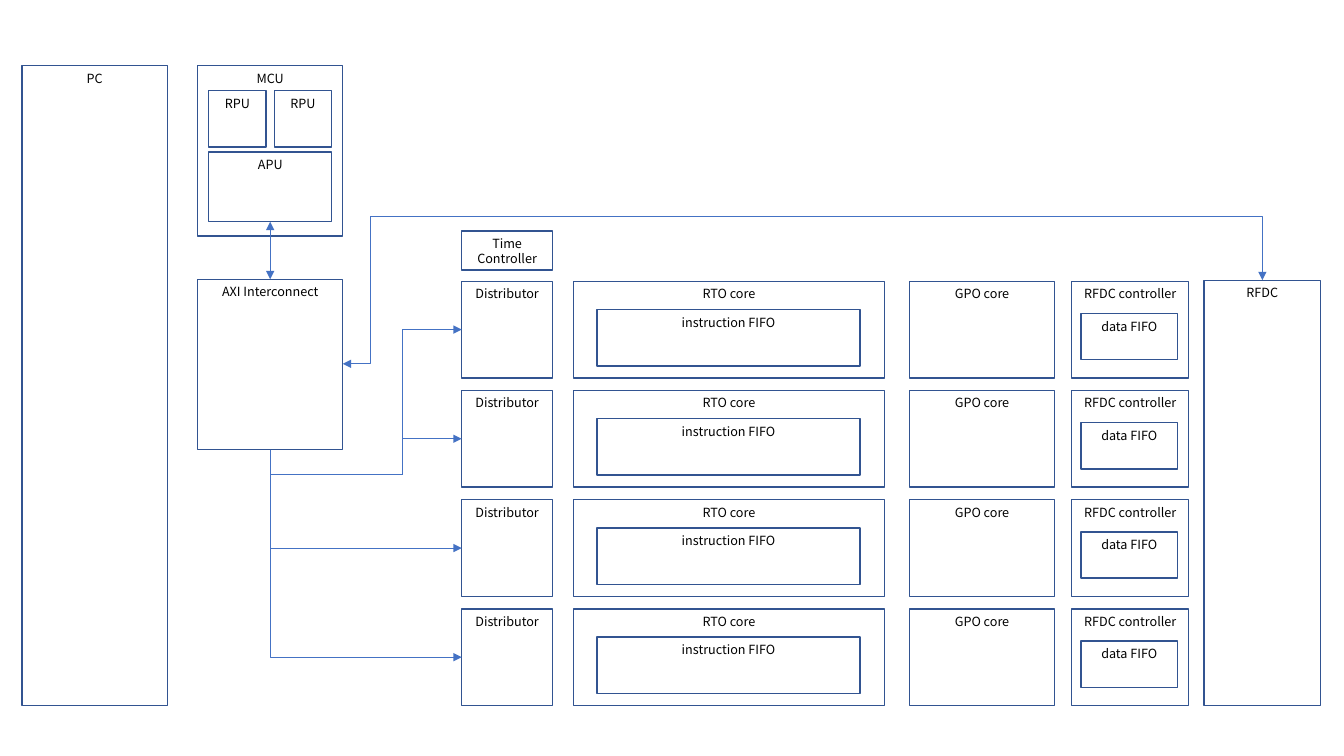
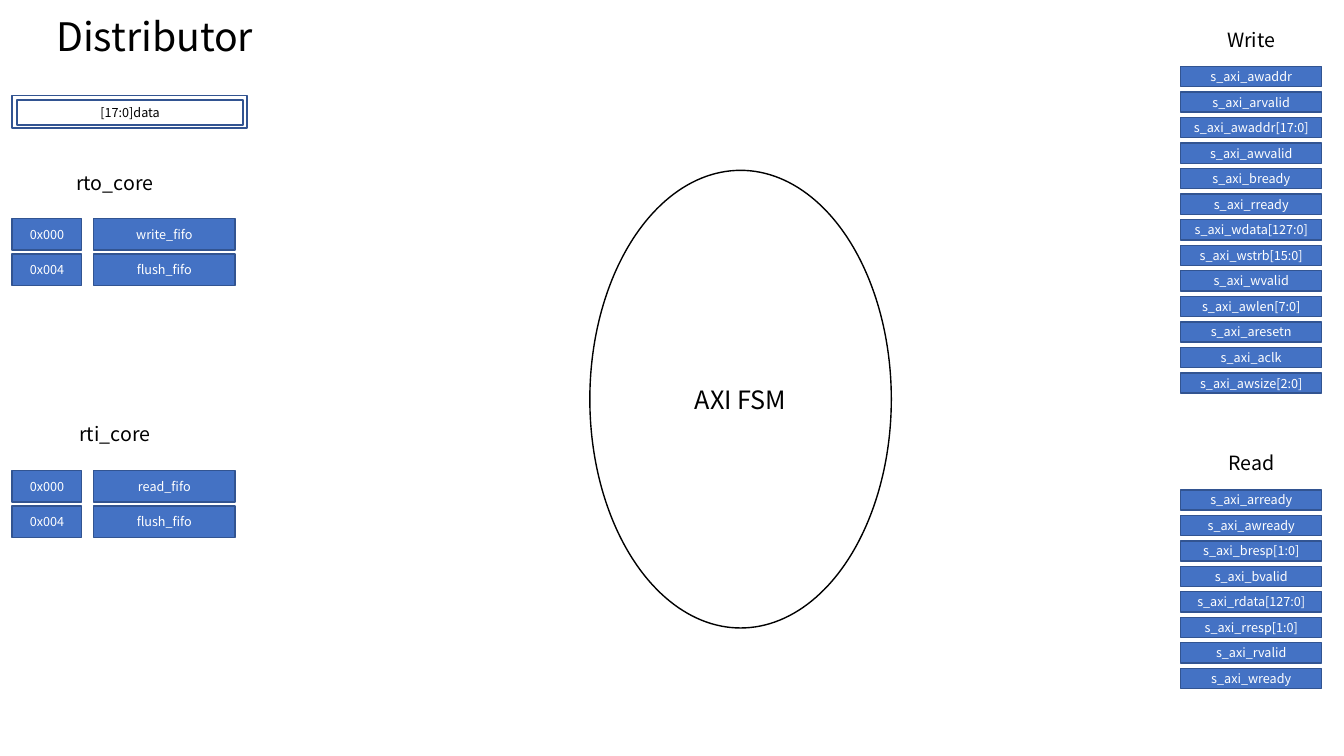
from dataclasses import dataclass
from typing import Optional

from lxml import etree
from pptx import Presentation
from pptx.dml.color import RGBColor
from pptx.enum.shapes import MSO_CONNECTOR, MSO_SHAPE
from pptx.enum.text import MSO_ANCHOR, PP_ALIGN
from pptx.oxml.ns import qn
from pptx.util import Inches, Pt

FONT = "Noto Sans CJK KR"
BLACK = RGBColor(0x00, 0x00, 0x00)
WHITE = RGBColor(0xFF, 0xFF, 0xFF)
BLUE = RGBColor(0x44, 0x72, 0xC4)
NAVY = RGBColor(0x32, 0x54, 0x91)

Point = tuple[float, float]


@dataclass(frozen=True)
class Style:
    fill: Optional[RGBColor] = None
    line: RGBColor = NAVY
    color: RGBColor = BLACK
    size: float = 9
    anchor: MSO_ANCHOR = MSO_ANCHOR.MIDDLE
    shape: MSO_SHAPE = MSO_SHAPE.RECTANGLE


BLOCK = Style(anchor=MSO_ANCHOR.TOP)
FRAME = Style()
CELL = Style(fill=BLUE, color=WHITE)
STATE = Style(line=BLACK, size=18, shape=MSO_SHAPE.OVAL)


@dataclass(frozen=True)
class Box:
    text: str
    left: float
    top: float
    width: float
    height: float


@dataclass(frozen=True)
class Route:
    """An elbow arrow; corner is the middle bend where there are three."""
    start: Point
    end: Point
    corner: Optional[Point] = None
    vertical: bool = True
    both_ends: bool = False


@dataclass(frozen=True)
class SignalList:
    title: str
    title_top: float
    first: float
    last: float
    names: tuple[str, ...]


@dataclass(frozen=True)
class RegisterMap:
    title: str
    title_top: float
    top: float
    names: tuple[str, ...]


ROW_COUNT = 4
ROW_HEIGHT = 0.96
ROW_FIRST, ROW_LAST = 2.79, 6.04
# Tops are relative to the row.
ROW_BOXES = (
    Box("Distributor", 4.58, 0, 0.9, ROW_HEIGHT),
    Box("RTO core", 5.69, 0, 3.08, ROW_HEIGHT),
    Box("instruction FIFO", 5.92, 0.28, 2.61, 0.56),
    Box("GPO core", 9.02, 0, 1.44, ROW_HEIGHT),
    Box("RFDC controller", 10.63, 0, 1.16, ROW_HEIGHT),
    Box("data FIFO", 10.72, 0.32, 0.96, 0.46),
)
SYSTEM_BOXES = (
    Box("PC", 0.22, 0.65, 1.44, 6.35),
    Box("MCU", 1.96, 0.65, 1.44, 1.69),
    Box("RPU", 2.07, 0.9, 0.57, 0.56),
    Box("RPU", 2.72, 0.9, 0.57, 0.56),
    Box("APU", 2.07, 1.51, 1.22, 0.69),
    Box("AXI Interconnect", 1.96, 2.77, 1.44, 1.69),
    Box("Time Controller", 4.58, 2.29, 0.9, 0.39),
    Box("RFDC", 11.94, 2.78, 1.16, 4.22),
)
SIGNAL_LISTS = (
    SignalList("Write", 0.25, 0.66, 3.7, (
        "s_axi_awaddr", "s_axi_arvalid", "s_axi_awaddr[17:0]", "s_axi_awvalid",
        "s_axi_bready", "s_axi_rready", "s_axi_wdata[127:0]", "s_axi_wstrb[15:0]",
        "s_axi_wvalid", "s_axi_awlen[7:0]", "s_axi_aresetn", "s_axi_aclk",
        "s_axi_awsize[2:0]")),
    SignalList("Read", 4.45, 4.86, 6.63, (
        "s_axi_arready", "s_axi_awready", "s_axi_bresp[1:0]", "s_axi_bvalid",
        "s_axi_rdata[127:0]", "s_axi_rresp[1:0]", "s_axi_rvalid", "s_axi_wready")),
)
REGISTER_MAPS = (
    RegisterMap("rto_core", 1.67, 2.17, ("write_fifo", "flush_fifo")),
    RegisterMap("rti_core", 4.16, 4.67, ("read_fifo", "flush_fifo")),
)


def spread(first: float, last: float, count: int) -> list[float]:
    """Evenly spaced positions from first to last."""
    return [first + i * (last - first) / (count - 1) for i in range(count)]


def apply(target, formats: dict) -> None:
    for name, value in formats.items():
        setattr(target, name, value)


def write(shape, text: str, size: float, color: RGBColor,
          frame: dict, paragraph: dict) -> None:
    tf = shape.text_frame
    apply(tf, {"word_wrap": True, **frame})
    p = tf.paragraphs[0]
    apply(p, paragraph)
    if text:
        r = p.add_run()
        r.text = text
        apply(r.font, {"name": FONT, "size": Pt(size)})
        r.font.color.rgb = color


def add_box(s, box: Box, style: Style) -> None:
    sp = s.shapes.add_shape(style.shape, Inches(box.left), Inches(box.top),
                            Inches(box.width), Inches(box.height))
    sp.shadow.inherit = False
    if style.fill is None:
        sp.fill.background()
    else:
        sp.fill.solid()
        sp.fill.fore_color.rgb = style.fill
    sp.line.color.rgb = style.line
    sp.line.width = Pt(1)
    write(sp, box.text, style.size, style.color,
          {"vertical_anchor": style.anchor}, {"alignment": PP_ALIGN.CENTER})


def add_label(s, box: Box, size: float = 14, spacing: float = 0.9,
              align: PP_ALIGN = PP_ALIGN.CENTER) -> None:
    tb = s.shapes.add_textbox(Inches(box.left), Inches(box.top),
                              Inches(box.width), Inches(box.height))
    write(tb, box.text, size, BLACK, {"vertical_anchor": MSO_ANCHOR.TOP},
          {"alignment": align, "line_spacing": spacing, "space_before": Pt(10)})


def add_arrow(s, start: Point, end: Point, kind: MSO_CONNECTOR, both_ends: bool):
    c = s.shapes.add_connector(kind, *(Inches(v) for v in start + end))
    c.line.color.rgb = BLUE
    c.line.width = Pt(0.5)
    props = c._element.spPr
    ln = props.find(qn("a:ln"))
    for tag in ("a:headEnd", "a:tailEnd") if both_ends else ("a:tailEnd",):
        etree.SubElement(ln, qn(tag), type="triangle")
    etree.SubElement(props, qn("a:effectLst"))
    return c


def add_route(s, route: Route) -> None:
    (x0, y0), (x1, y1) = route.start, route.end
    c = add_arrow(s, route.start, route.end, MSO_CONNECTOR.ELBOW, route.both_ends)
    props = c._element.spPr
    geometry = props.find(qn("a:prstGeom"))
    geometry.set("prst", "bentConnector4" if route.corner else "bentConnector2")
    if route.corner:
        across = (route.corner[0] - x0) / (x1 - x0)
        down = (route.corner[1] - y0) / (y1 - y0)
        adjusts = (down, across) if route.vertical else (across, down)
        guides = geometry.find(qn("a:avLst"))
        for i, value in enumerate(adjusts, 1):
            etree.SubElement(guides, qn("a:gd"), name=f"adj{i}",
                             fmla=f"val {round(value * 100000)}")
    if route.vertical:
        # A route leaving downwards is a horizontal one turned about its centre.
        w, h = abs(y1 - y0), abs(x1 - x0)
        apply(c, {"left": Inches((x0 + x1 - w) / 2), "top": Inches((y0 + y1 - h) / 2),
                  "width": Inches(w), "height": Inches(h)})
        upward = y1 < y0
        xfrm = props.find(qn("a:xfrm"))
        xfrm.set("rot", str((90 if upward else 270) * 60000))
        xfrm.set("flipH", "1")
        xfrm.set("flipV", "1" if upward else "0")


def build_system(s) -> None:
    for box in SYSTEM_BOXES:
        add_box(s, box, BLOCK)
    add_arrow(s, (2.68, 2.2), (2.68, 2.77), MSO_CONNECTOR.STRAIGHT, True)
    add_route(s, Route((3.4, 3.61), (12.52, 2.78), (3.67, 2.15),
                       vertical=False, both_ends=True))
    for i, top in enumerate(spread(ROW_FIRST, ROW_LAST, ROW_COUNT)):
        for b in ROW_BOXES:
            add_box(s, Box(b.text, b.left, top + b.top, b.width, b.height), BLOCK)
        corner = (3.99, 4.71) if i < 2 else None
        add_route(s, Route((2.68, 4.46), (4.58, top + ROW_HEIGHT / 2), corner))


def build_distributor(s) -> None:
    add_label(s, Box("Distributor", 0.46, 0.16, 11.5, 0.52), 28, 0.8, PP_ALIGN.LEFT)
    add_box(s, Box("", 0.12, 0.95, 2.33, 0.32), FRAME)
    add_box(s, Box("[17:0]data", 0.17, 0.99, 2.24, 0.25), FRAME)
    for m in REGISTER_MAPS:
        add_label(s, Box(m.title, 0.47, m.title_top, 1.34, 0.31))
        for i, name in enumerate(m.names):
            top = m.top + i * 0.35
            add_box(s, Box(f"0x{i * 4:03x}", 0.12, top, 0.69, 0.31), CELL)
            add_box(s, Box(name, 0.93, top, 1.4, 0.31), CELL)
    add_box(s, Box("AXI FSM", 5.85, 1.69, 2.99, 4.54), STATE)
    for group in SIGNAL_LISTS:
        add_label(s, Box(group.title, 11.74, group.title_top, 1.34, 0.31))
        tops = spread(group.first, group.last, len(group.names))
        for name, top in zip(group.names, tops):
            add_box(s, Box(name, 11.71, top, 1.4, 0.2), CELL)


def main() -> None:
    prs = Presentation()
    prs.slide_width, prs.slide_height = Inches(13.33), Inches(7.5)
    for build in (build_system, build_distributor):
        build(prs.slides.add_slide(prs.slide_layouts[6]))
    prs.save("out.pptx")


if __name__ == "__main__":
    main()
